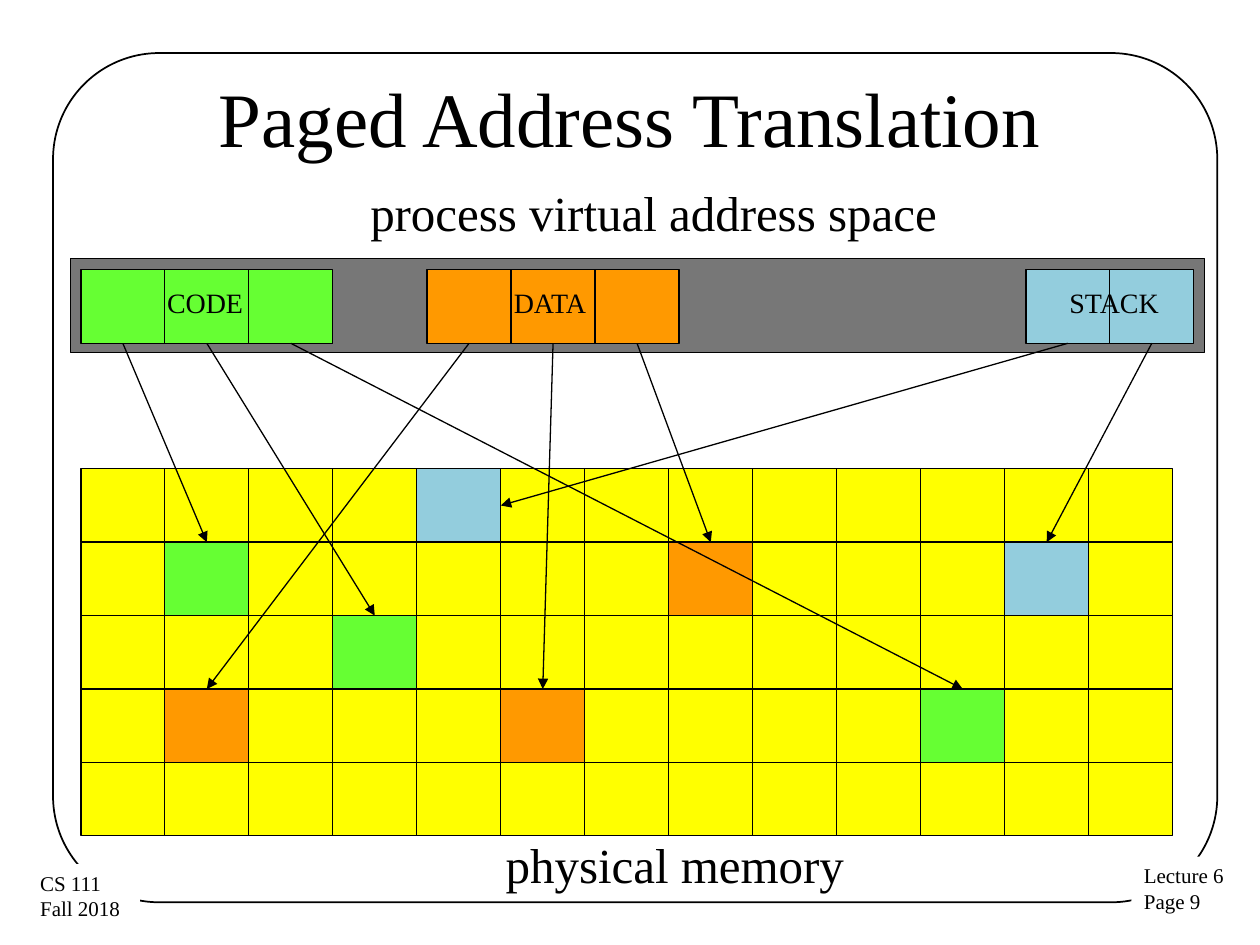
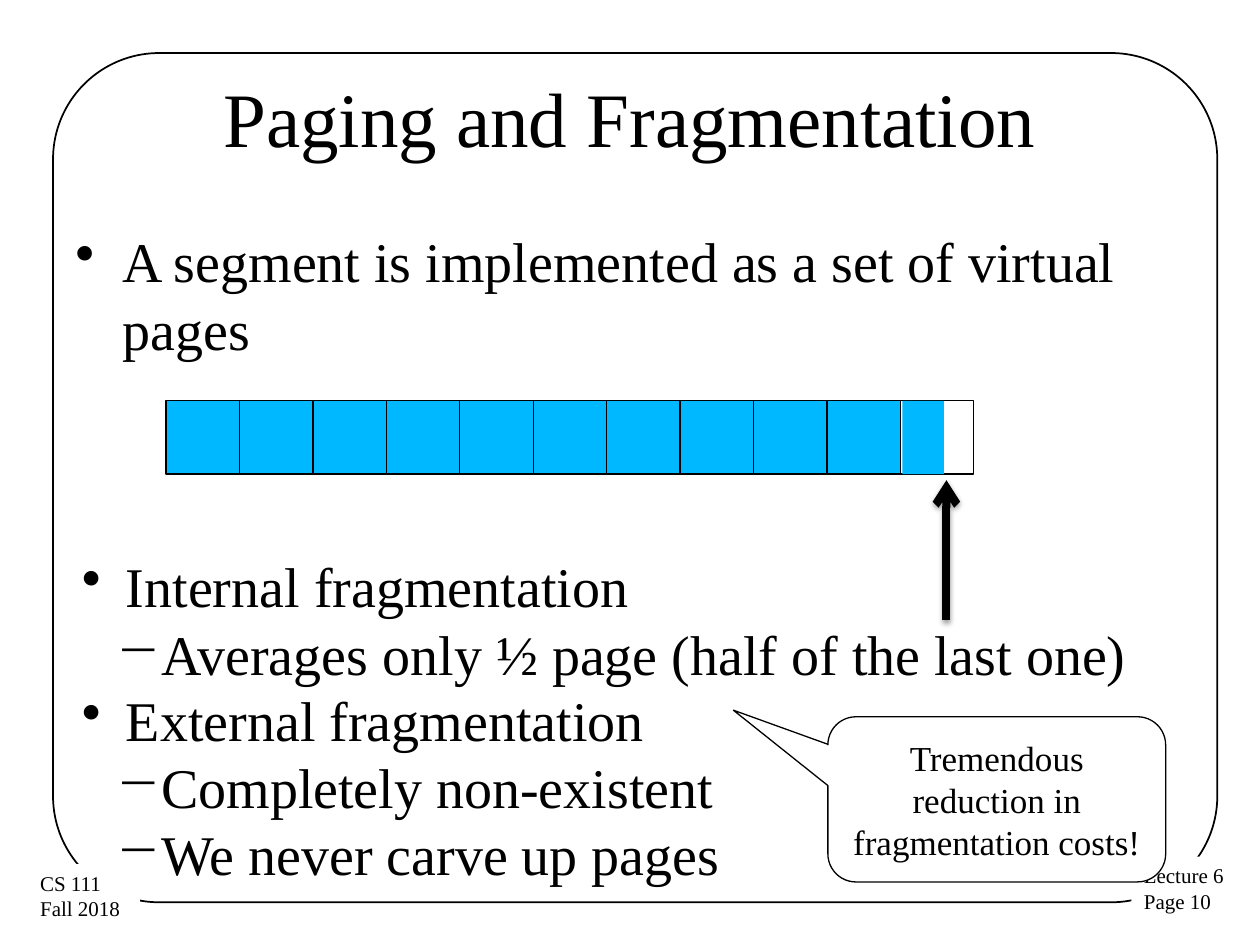
from lxml import etree
from pptx import Presentation
from pptx import util as u
from pptx.dml.color import RGBColor
from pptx.enum import shapes, text
from pptx.oxml import ns

Cm, Pt = u.Cm, u.Pt
SHAPE, ALIGN, ANCHOR = shapes.MSO_SHAPE, text.PP_ALIGN, text.MSO_ANCHOR

BLACK = RGBColor(0x00, 0x00, 0x00)
WHITE = RGBColor(0xFF, 0xFF, 0xFF)
GREY = RGBColor(0x77, 0x77, 0x77)
GREEN = RGBColor(0x66, 0xFF, 0x33)
ORANGE = RGBColor(0xFF, 0x99, 0x00)
PALE_BLUE = RGBColor(0x93, 0xCD, 0xDD)
YELLOW = RGBColor(0xFF, 0xFF, 0x00)
BLUE = RGBColor(0x00, 0xB8, 0xFF)
FONT = "Times New Roman"

PAGE_W, PAGE_H = 22.01 / 13, 1.48   # one memory page, cm

# (left, hanging) indents in cm and bullet sign
WIDE_BULLET = (0.95, 0.95, "\u2022")
BULLET = (0.89, 0.89, "\u2022")
DASH = (1.6, 0.91, "\u2212")


def sub(parent, tag, **attrs):
    return etree.SubElement(parent, ns.qn(tag), attrs)


def write(sp, lines, size, align=ALIGN.LEFT, anchor=ANCHOR.TOP, bullets=None):
    """Fill a shape with one paragraph per line."""
    tf = sp.text_frame
    tf.word_wrap = True
    tf.vertical_anchor = anchor
    for i, line in enumerate(lines):
        p = tf.paragraphs[0] if i == 0 else tf.add_paragraph()
        p.alignment = align
        r = p.add_run()
        r.text = line
        r.font.name, r.font.size, r.font.color.rgb = FONT, Pt(size), BLACK
        if bullets:
            left, hang, sign = bullets[i]
            pPr = p._p.get_or_add_pPr()
            pPr.set("marL", str(Cm(left)))
            pPr.set("indent", str(-Cm(hang)))
            sub(pPr, "a:buChar", char=sign)
    return tf


def label(s, box, lines, size, **fmt):
    sp = s.shapes.add_textbox(*map(Cm, box))
    return write(sp, lines, size, **fmt)


def block(parent, box, fill=None, line=0.75, kind=SHAPE.RECTANGLE):
    sp = parent.shapes.add_shape(kind, *map(Cm, box))
    sp.shadow.inherit = False
    if fill is None:
        sp.fill.background()
    else:
        sp.fill.solid()
        sp.fill.fore_color.rgb = fill
    if line:
        sp.line.color.rgb, sp.line.width = BLACK, Pt(line)
    else:
        sp.line.fill.background()
    return sp


def arrow(s, start, end, width=0.75, head="triangle", shadow=False):
    ln = s.shapes.add_connector(shapes.MSO_CONNECTOR.STRAIGHT,
                                *map(Cm, (*start, *end)))
    ln.line.color.rgb, ln.line.width = BLACK, Pt(width)
    sub(ln.line._get_or_add_ln(), "a:tailEnd", type=head)
    effects = sub(ln._element.spPr, "a:effectLst")
    if shadow:
        outer = sub(effects, "a:outerShdw", blurRad=str(Pt(3.1)),
                    dist=str(Pt(1.6)), dir="5400000", rotWithShape="0")
        sub(sub(outer, "a:srgbClr", val=str(BLACK)), "a:alpha", val="38000")


def base_slide(prs, title, number):
    """Blank slide with the rounded frame, the two footers and the title."""
    s = prs.slides.add_slide(prs.slide_layouts[6])
    frame = block(s, (1.07, 1.07, 23.47, 17.12), line=1,
                  kind=SHAPE.ROUNDED_RECTANGLE)
    frame.adjustments[0] = 0.125
    for box, lines in (
            ((22.81, 17.27, 2.16, 1.3), ("Lecture 6", f"Page {number}")),
            ((0.56, 17.42, 2.26, 1.3), ("CS 111", "Fall 2018"))):
        tf = write(block(s, box, WHITE, line=0), lines, 12)
        tf.margin_right = 0
    label(s, (1.27, 0.76, 22.86, 3.18), [title], 44,
          align=ALIGN.CENTER, anchor=ANCHOR.MIDDLE)
    return s


def address_space(s, x, y, segments):
    """Grey bar with its segments; returns the bottom centre of each page."""
    block(s, (x, y, 22.86, 1.9), GREY)
    top = y + 0.23
    exits = []
    for name, color, offset, count, text_offset in segments:
        left = x + offset
        for i in range(count):
            block(s, (left + i * PAGE_W, top, PAGE_W, PAGE_H), color)
            exits.append((left + (i + 0.5) * PAGE_W, top + PAGE_H))
        label(s, (left + text_offset, y + 0.43, 3, 0.94), [name], 16)
    return exits


def physical_memory(s, x, y, rows, cols, used):
    """Grid of page frames; used maps (row, col) to a colour."""
    for row in range(rows):
        for col in range(cols):
            block(s, (x + col * PAGE_W, y + row * PAGE_H, PAGE_W, PAGE_H),
                  used.get((row, col), YELLOW))


def translation_slide(prs):
    s = base_slide(prs, "Paged Address Translation", 9)
    exits = address_space(s, 1.42, 5.21, (
        ("CODE", GREEN, 0.21, 3, 1.49),
        ("DATA", ORANGE, 7.19, 3, 1.5),
        ("STACK", PALE_BLUE, 19.26, 2, 0.63)))

    # Frames in the order of the virtual pages
    frames = [(1, 1), (2, 3), (3, 10), (3, 1), (3, 5), (1, 7), (0, 4), (1, 11)]
    colors = [GREEN] * 3 + [ORANGE] * 3 + [PALE_BLUE] * 2
    x, y = 1.63, 9.45
    physical_memory(s, x, y, 5, 13, dict(zip(frames, colors)))

    for box, caption in (((5.87, 3.56, 14.61, 1.45), "process virtual address space"),
                         ((6.3, 16.69, 14.61, 1.45), "physical memory")):
        label(s, box, [caption], 28, align=ALIGN.CENTER)

    # A frame in the top row is entered from its right side, others from above
    for start, (row, col) in zip(exits, frames):
        dx, dy = (0.5, 0) if row else (1, 0.5)
        arrow(s, start, (x + (col + dx) * PAGE_W, y + (row + dy) * PAGE_H))


def segment_strip(s, x, y, size, full):
    """Row of full pages and a last one that is partly used."""
    group = s.shapes.add_group_shape()
    for i in range(full + 1):
        block(group, (x + i * size, y, size, size), BLUE if i < full else None)
    block(group, (x + full * size + 0.04, y, 0.84, size), BLUE, line=0)


def fragmentation_slide(prs):
    s = base_slide(prs, "Paging and Fragmentation", 10)
    label(s, (1.27, 4.45, 22.86, 3.2),
          ["A segment is implemented as a set of virtual pages"], 32,
          bullets=[WIDE_BULLET])
    segment_strip(s, 3.35, 8.08, 1.48, 10)
    label(s, (1.4, 11, 22.63, 3),
          ["Internal fragmentation",
           "Averages only \u00bd page (half of the last one)"], 32,
          bullets=[BULLET, DASH])
    arrow(s, (19.08, 12.5), (19.08, 9.68), width=4.5, head="arrow", shadow=True)
    label(s, (1.4, 13.69, 14.27, 4.37),
          ["External fragmentation", "Completely non-existent",
           "We never carve up pages"], 32, bullets=[BULLET, DASH, DASH])

    # Callout
    callout = block(s, (16.69, 14.45, 6.81, 3.33), WHITE,
                    kind=SHAPE.ROUNDED_RECTANGULAR_CALLOUT)
    for i, value in enumerate((-0.78, -0.54, 0.17)):
        callout.adjustments[i] = value
    write(callout, ["Tremendous reduction in fragmentation costs!"], 20,
          align=ALIGN.CENTER, anchor=ANCHOR.MIDDLE)


prs = Presentation()
prs.slide_width, prs.slide_height = Cm(25.4), Cm(19.05)
translation_slide(prs)
fragmentation_slide(prs)
prs.save("out.pptx")
